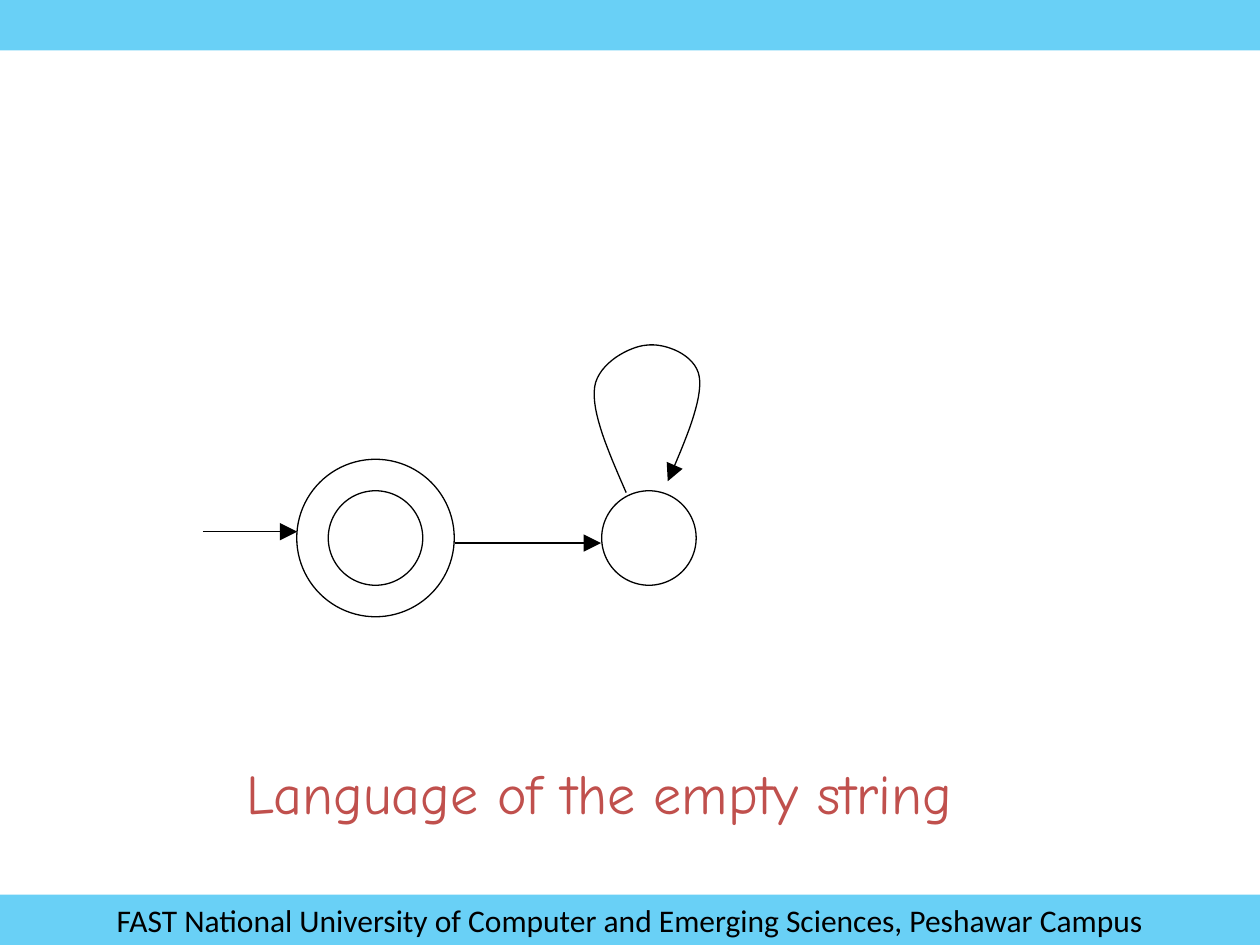
from dataclasses import dataclass
from typing import NamedTuple

from lxml.etree import SubElement
from pptx import Presentation
from pptx.dml.color import RGBColor
from pptx.enum.shapes import MSO_CONNECTOR, MSO_SHAPE
from pptx.enum.text import MSO_ANCHOR, PP_ALIGN
from pptx.oxml.ns import qn
from pptx.util import Inches, Pt

WIDTH, HEIGHT = 10, 7.5
BAR_HEIGHT = 0.4
CURVE_STEPS = 16


@dataclass(frozen=True)
class Theme:
    bar: RGBColor = RGBColor(0x00, 0xB0, 0xF0)
    bar_opacity: int = 59
    ink: RGBColor = RGBColor(0x00, 0x00, 0x00)
    accent: RGBColor = RGBColor(0xC0, 0x50, 0x4D)
    footer_font: str = "Calibri"
    footer_size: int = 18
    caption_font: str = "Comic Neue"
    caption_size: int = 32
    line_width: float = 0.75


class Point(NamedTuple):
    x: float
    y: float


class Ring(NamedTuple):
    center: Point
    diameter: float


class Arrow(NamedTuple):
    start: Point
    end: Point


THEME = Theme()

# Automaton: states share one center line
ROW = 4.27
ACCEPT, TRAP = Point(2.98, ROW), Point(5.15, ROW)
RINGS = [Ring(TRAP, 0.75), Ring(ACCEPT, 1.25), Ring(ACCEPT, 0.75)]
ARROWS = [
    Arrow(Point(3.61, 4.31), Point(4.77, 4.31)),
    Arrow(Point(1.61, 4.22), Point(2.36, 4.22)),
]

# Self-loop: a start point, then two controls and an end for each curve
LOOP_START = Point(4.97, 3.91)
LOOP_CURVES = [
    (Point(4.83, 3.59), Point(4.69, 3.27), Point(4.72, 3.07)),
    (Point(4.75, 2.88), Point(5, 2.75), Point(5.13, 2.74)),
    (Point(5.27, 2.72), Point(5.52, 2.81), Point(5.55, 2.99)),
    (Point(5.58, 3.17), Point(5.44, 3.5), Point(5.3, 3.82)),
]


def style_line(shape) -> None:
    shape.line.color.rgb = THEME.ink
    shape.line.width = Pt(THEME.line_width)


def add_arrowhead(shape) -> None:
    SubElement(shape.line._get_or_add_ln(), qn("a:tailEnd"),
               type="triangle", w="lg", len="lg")


def add_span(para, text: str, font: str, size: int, color: RGBColor) -> None:
    span = para.add_run()
    span.text = text
    span.font.name = font
    span.font.size = Pt(size)
    span.font.color.rgb = color


def add_bar(page, top: float, text: str = "") -> None:
    bar = page.shapes.add_shape(
        MSO_SHAPE.RECTANGLE, 0, Inches(top), Inches(WIDTH), Inches(BAR_HEIGHT))
    bar.shadow.inherit = False
    bar.fill.solid()
    bar.fill.fore_color.rgb = THEME.bar
    color = bar._element.spPr.find(qn("a:solidFill"))[0]
    SubElement(color, qn("a:alpha"), val=str(THEME.bar_opacity * 1000))
    bar.line.fill.background()
    if text:
        bar.text_frame.vertical_anchor = MSO_ANCHOR.MIDDLE
        para = bar.text_frame.paragraphs[0]
        para.alignment = PP_ALIGN.CENTER
        add_span(para, text, THEME.footer_font, THEME.footer_size, THEME.ink)


def add_ring(page, ring: Ring) -> None:
    radius, size = ring.diameter / 2, Inches(ring.diameter)
    circle = page.shapes.add_shape(
        MSO_SHAPE.OVAL, Inches(ring.center.x - radius),
        Inches(ring.center.y - radius), size, size)
    circle.shadow.inherit = False
    circle.fill.background()
    style_line(circle)


def add_arrow(page, arrow: Arrow) -> None:
    ends = [Inches(value) for point in arrow for value in point]
    line = page.shapes.add_connector(MSO_CONNECTOR.STRAIGHT, *ends)
    style_line(line)
    add_arrowhead(line)
    SubElement(line._element.spPr, qn("a:effectLst"))


def bezier(a: float, b: float, c: float, d: float, t: float) -> float:
    u = 1 - t
    return u**3 * a + 3 * u**2 * t * b + 3 * u * t**2 * c + t**3 * d


def add_loop(page) -> None:
    points, start = [], LOOP_START
    for curve in LOOP_CURVES:
        xs, ys = zip(start, *curve)
        for step in range(1, CURVE_STEPS + 1):
            t = step / CURVE_STEPS
            points.append((Inches(bezier(*xs, t)), Inches(bezier(*ys, t))))
        start = curve[-1]
    # The builder rounds to whole units, so points are given in EMU
    builder = page.shapes.build_freeform(
        Inches(LOOP_START.x), Inches(LOOP_START.y))
    builder.add_line_segments(points, close=False)
    loop = builder.convert_to_shape()
    loop.shadow.inherit = False
    loop.fill.background()
    style_line(loop)
    add_arrowhead(loop)


def add_caption(page, text: str) -> None:
    box = page.shapes.add_textbox(
        Inches(1.86), Inches(5.97), Inches(6.29), Inches(0.63))
    box.text_frame.word_wrap = False
    add_span(box.text_frame.paragraphs[0], text,
             THEME.caption_font, THEME.caption_size, THEME.accent)


def main() -> None:
    deck = Presentation()
    deck.slide_width, deck.slide_height = Inches(WIDTH), Inches(HEIGHT)
    page = deck.slides.add_slide(deck.slide_layouts[6])

    # Header and footer bars
    add_bar(page, 0)
    add_bar(page, HEIGHT - BAR_HEIGHT,
            "FAST National University of Computer and Emerging Sciences, "
            "Peshawar Campus")

    # State diagram
    for ring in RINGS:
        add_ring(page, ring)
    for arrow in ARROWS:
        add_arrow(page, arrow)
    add_loop(page)

    add_caption(page, "Language of the empty string")
    deck.save("out.pptx")


if __name__ == "__main__":
    main()
